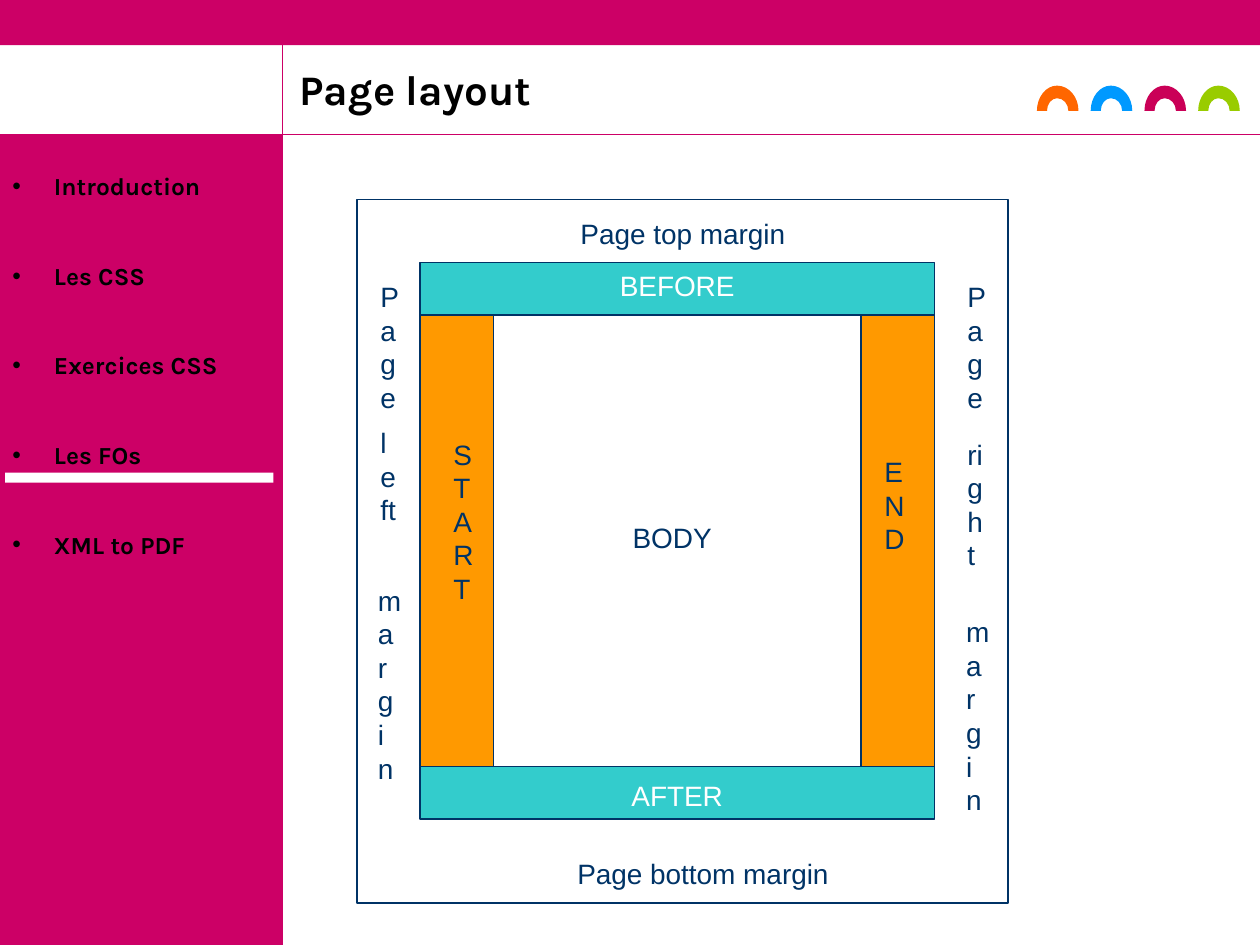
from lxml import etree
from pptx import Presentation
from pptx.dml.color import RGBColor
from pptx.enum.shapes import MSO_CONNECTOR, MSO_SHAPE
from pptx.enum.text import MSO_ANCHOR, PP_ALIGN
from pptx.oxml.ns import qn
from pptx.util import Inches, Pt

RECTANGLE = MSO_SHAPE.RECTANGLE
STRAIGHT = MSO_CONNECTOR.STRAIGHT
LEFT, CENTER = PP_ALIGN.LEFT, PP_ALIGN.CENTER
TOP, BOTTOM = MSO_ANCHOR.TOP, MSO_ANCHOR.BOTTOM

MAGENTA = RGBColor(0xCC, 0x00, 0x66)
NAVY = RGBColor(0x00, 0x33, 0x66)
TEAL = RGBColor(0x33, 0xCC, 0xCC)
AMBER = RGBColor(0xFF, 0x99, 0x00)
WHITE = RGBColor(0xFF, 0xFF, 0xFF)
BLACK = RGBColor(0x00, 0x00, 0x00)
ORANGE = RGBColor(0xFF, 0x66, 0x00)
BLUE = RGBColor(0x00, 0x99, 0xFF)
CRIMSON = RGBColor(0xCA, 0x00, 0x57)
GREEN = RGBColor(0x99, 0xCC, 0x00)

TITLE_FONT = {"name": "Karla", "size": Pt(24), "bold": True}
MENU_FONT = {"name": "Karla", "size": Pt(14), "bold": True}
LABEL_FONT = {"name": "Arial", "size": Pt(16), "bold": False}

SLIDE_WIDTH, SLIDE_HEIGHT = 10, 7.5
SIDEBAR_WIDTH, HEADER_BOTTOM = 2.24, 1.07
MENU = ["Introduction", "Les CSS", "Exercices CSS", "Les FOs", "XML to PDF"]
ARCH_COLORS = [GREEN, CRIMSON, BLUE, ORANGE]

# The page diagram lies on a grid of twelfths of an inch
GRID = 1 / 12
REGION_LEFT, REGION_TOP, REGION_WIDTH = 40, 25, 49
BAND_HEIGHT, SIDE_WIDTH, SIDE_HEIGHT = 5, 7, 43
BODY_TOP = REGION_TOP + BAND_HEIGHT

# text, left, top, width, height, colour
CENTERED_LABELS = [
    ("BODY", 4.42, 4.08, 1.83, 0.37, NAVY),
    ("BEFORE", 4.5, 2.08, 1.75, 0.37, WHITE),
    ("AFTER", 4.5, 6.13, 1.75, 0.37, WHITE),
    ("Page bottom margin", 4.08, 6.75, 3, 0.37, NAVY),
    ("Page top margin", 3.92, 1.67, 3, 0.37, NAVY),
]
# text, left, top, width, height; each box is narrow enough to stack letters
STACKED_LABELS = [
    ("START", 3.5, 3.42, 0.33, 1.44),
    ("END", 6.92, 3.56, 0.33, 0.9),
    ("Page", 2.92, 2.17, 0.33, 1.17),
    ("Page", 7.58, 2.17, 0.25, 1.17),
    ("left", 2.92, 3.33, 0.33, 0.9),
    ("right", 7.58, 3.42, 0.33, 1.17),
    ("margin", 2.9, 4.58, 0.35, 1.7),
    ("margin", 7.57, 4.83, 0.27, 1.7),
]


class SlideBuilder:
    def __init__(self, slide, line_width=0.75):
        self.slide = slide
        self.line_width = Pt(line_width)

    def finish(self, shape, fill=None, line=None):
        """Apply fill and outline, and remove the shadow."""
        shape.shadow.inherit = False
        if fill is None:
            shape.fill.background()
        else:
            shape.fill.solid()
            shape.fill.fore_color.rgb = fill
        if line is None:
            shape.line.fill.background()
        else:
            shape.line.color.rgb = line
            shape.line.width = self.line_width

    def rectangle(self, left, top, width, height, fill=None, line=None):
        box = map(Inches, (left, top, width, height))
        self.finish(self.slide.shapes.add_shape(RECTANGLE, *box), fill, line)

    def line(self, start_x, start_y, end_x, end_y, color):
        ends = map(Inches, (start_x, start_y, end_x, end_y))
        connector = self.slide.shapes.add_connector(STRAIGHT, *ends)
        connector.line.color.rgb = color
        connector.line.width = self.line_width
        etree.SubElement(connector.element.spPr, qn("a:effectLst"))

    def arch(self, left, top, fill):
        """Draw half a ring, bending four straight segments into curves."""
        corners = [(0.08, 0.2), (0.16, 0.1), (0.25, 0.2),
                   (0.33, 0.2), (0.16, 0), (0, 0.2)]
        points = [(Inches(left + x), Inches(top + y)) for x, y in corners]
        builder = self.slide.shapes.build_freeform(*points[0])
        builder.add_line_segments(points[1:], close=True)
        shape = builder.convert_to_shape()
        segments = list(shape.element.iter(qn("a:lnTo")))
        for index, rising in ((0, True), (1, False), (3, True), (4, False)):
            start, end = (tuple(map(Inches, corners[index + step]))
                          for step in (0, 1))
            self.bend(segments[index], start, end, rising)
        self.finish(shape, fill)

    def bend(self, segment, start, end, rising, roundness=0.55):
        """Turn a straight segment into a quarter of an ellipse."""
        (start_x, start_y), (end_x, end_y) = start, end
        reach_x = int((end_x - start_x) * roundness)
        reach_y = int((end_y - start_y) * roundness)
        if rising:
            controls = [(start_x, start_y + reach_y), (end_x - reach_x, end_y)]
        else:
            controls = [(start_x + reach_x, start_y), (end_x, end_y - reach_y)]
        segment.tag = qn("a:cubicBezTo")
        for index, (x, y) in enumerate(controls):
            control = etree.Element(qn("a:pt"), x=str(x), y=str(y))
            segment.insert(index, control)

    def text(self, lines, left, top, width, height, font, color,
             alignment=LEFT, anchor=TOP, gap=0, spacing=1.0):
        box = map(Inches, (left, top, width, height))
        frame = self.slide.shapes.add_textbox(*box).text_frame
        frame.word_wrap = True
        frame.vertical_anchor = anchor
        frame.text = "\n".join(lines)
        layout = {"alignment": alignment, "space_before": Pt(gap),
                  "line_spacing": spacing}
        for paragraph in frame.paragraphs:
            for name, value in layout.items():
                setattr(paragraph, name, value)
            for name, value in font.items():
                setattr(paragraph.runs[0].font, name, value)
            paragraph.runs[0].font.color.rgb = color
        return frame

    def bullets(self, lines, *box, font, color, gap, indent=0.33):
        frame = self.text(lines, *box, font, color, gap=gap)
        for paragraph in frame.paragraphs:
            properties = paragraph._p.get_or_add_pPr()
            properties.set("marL", str(Inches(indent)))
            properties.set("indent", str(-Inches(indent)))
            etree.SubElement(properties, qn("a:buFont"), typeface="Arial")
            etree.SubElement(properties, qn("a:buChar"), char="•")


def draw_frame(builder):
    builder.rectangle(0, HEADER_BOTTOM, SIDEBAR_WIDTH,
                      SLIDE_HEIGHT - HEADER_BOTTOM, MAGENTA)
    builder.rectangle(0, 0, SLIDE_WIDTH, 0.36, MAGENTA)
    builder.line(0, HEADER_BOTTOM, SLIDE_WIDTH, HEADER_BOTTOM, MAGENTA)
    builder.line(SIDEBAR_WIDTH, SLIDE_HEIGHT, SIDEBAR_WIDTH, 0, MAGENTA)
    for index, color in enumerate(ARCH_COLORS):
        builder.arch(9.51 - 1.28 / 3 * index, 0.68, color)
    builder.bullets(MENU, 0, 1.31, 2.32, 3.66,
                    font=MENU_FONT, color=BLACK, gap=34.4)
    builder.text(["Page layout"], 2.28, 0.48, 7.33, 0.48,
                 TITLE_FONT, BLACK, anchor=BOTTOM, spacing=0.9)


def draw_page_regions(builder):
    right_side = REGION_LEFT + REGION_WIDTH - SIDE_WIDTH
    after_top = BODY_TOP + SIDE_HEIGHT
    regions = [
        (34, 19, 62, 67, None),
        (REGION_LEFT, REGION_TOP, REGION_WIDTH, BAND_HEIGHT, TEAL),
        (REGION_LEFT, after_top, REGION_WIDTH, BAND_HEIGHT, TEAL),
        (REGION_LEFT, BODY_TOP, SIDE_WIDTH, SIDE_HEIGHT, AMBER),
        (right_side, BODY_TOP, SIDE_WIDTH, SIDE_HEIGHT, AMBER),
    ]
    for *cells, fill in regions:
        builder.rectangle(*(cell * GRID for cell in cells), fill, NAVY)
    for label, *box, color in CENTERED_LABELS:
        builder.text([label], *box, LABEL_FONT, color, CENTER)
    for label, *box in STACKED_LABELS:
        builder.text([label], *box, LABEL_FONT, NAVY)


def main():
    presentation = Presentation()
    presentation.slide_width = Inches(SLIDE_WIDTH)
    presentation.slide_height = Inches(SLIDE_HEIGHT)
    slide = presentation.slides.add_slide(presentation.slide_layouts[6])
    builder = SlideBuilder(slide)
    draw_frame(builder)
    draw_page_regions(builder)
    builder.rectangle(0.04, 3.75, 2.13, 0.08, WHITE)
    presentation.save("out.pptx")


if __name__ == "__main__":
    main()
